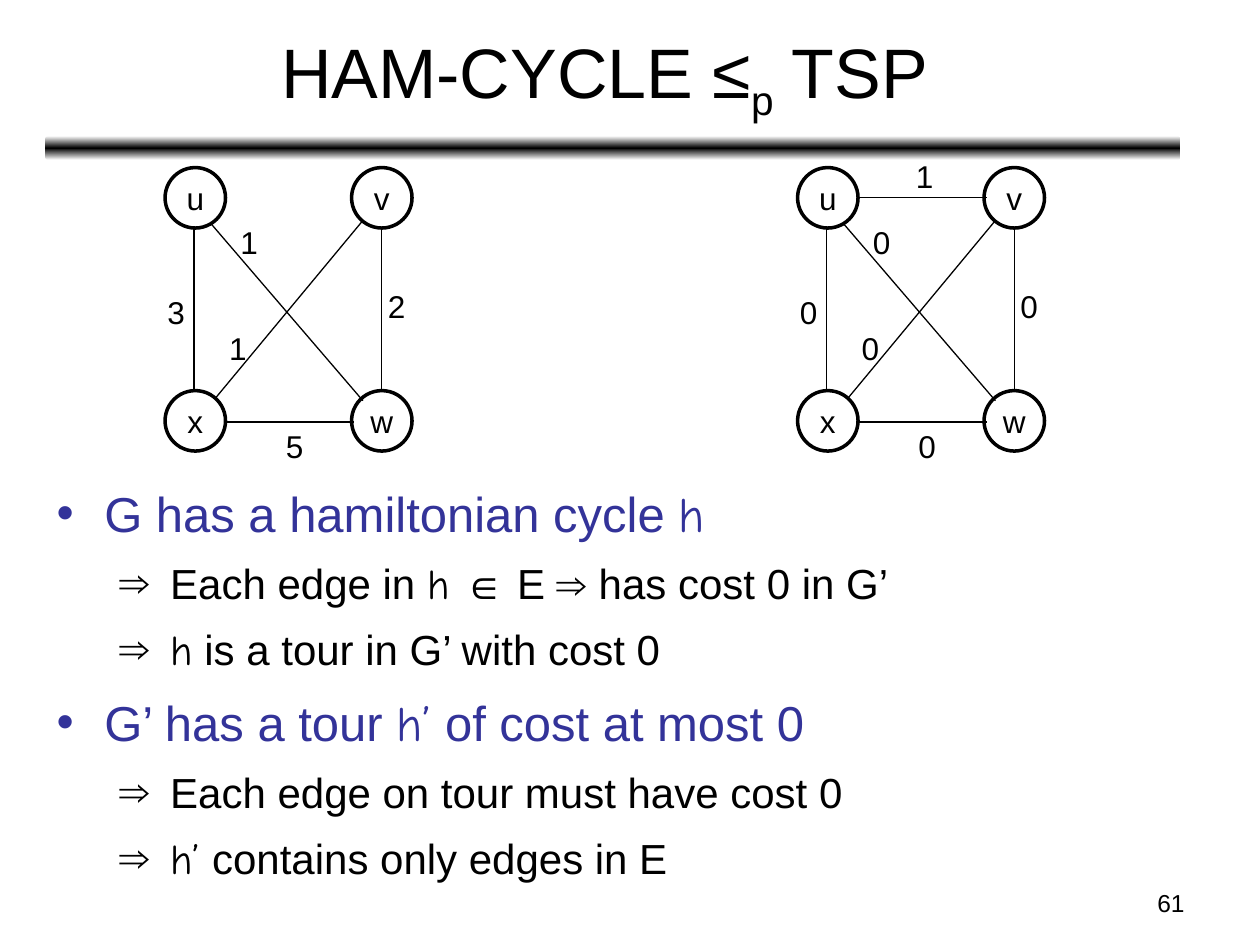
from copy import deepcopy

from lxml import etree
from pptx import Presentation
from pptx.dml.color import RGBColor
from pptx.enum import shapes, text
from pptx.oxml.ns import qn
from pptx.util import Inches, Pt

BLACK = RGBColor(0x00, 0x00, 0x00)
WHITE = RGBColor(0xFF, 0xFF, 0xFF)
BLUE = RGBColor(0x33, 0x33, 0x99)

SANS = "Arial"
HAND = "Comic Neue"

NODE_SIZE = 0.48
NODES = [("u", 0, 0), ("v", 1.48, 0), ("x", 0, 1.77), ("w", 1.48, 1.77)]
TOP_EDGE = (0.48, 0.24, 1.5, 0.24)
EDGES = [
    (0.48, 2.02, 1.5, 2.02),
    (0.23, 0.47, 0.23, 1.77),
    (1.72, 0.47, 1.72, 1.77),
    (0.36, 0.44, 1.57, 1.85),
    (1.57, 0.42, 0.4, 1.83),
]
COST_SPOTS = [(0.86, 2.01), (-0.08, 0.95), (1.67, 0.9), (0.41, 1.23), (0.5, 0.39)]
TOP_COST_SPOT = (0.84, -0.13)

LEVELS = [
    {"size": 28, "color": BLUE, "left": 0.38, "hang": 0.38, "before": 7, "bullet": "•"},
    {"size": 24, "color": BLACK, "left": 0.81, "hang": 0.31, "before": 6, "bullet": "⇒"},
]
POINTS = [
    (0, [("G has a hamiltonian cycle ", SANS), ("h", HAND)]),
    (1, [(" Each edge in ", SANS), ("h ", HAND), ("∈ E ⇒ has cost 0 in G’", SANS)]),
    (1, [(" ", SANS), ("h", HAND), (" is a tour in G’ with cost 0", SANS)]),
    (0, [("G’ has a tour ", SANS), ("h’", HAND), (" of cost at most 0", SANS)]),
    (1, [(" Each edge on tour must have cost 0", SANS)]),
    (1, [(" ", SANS), ("h’", HAND), (" contains only edges in E", SANS)]),
]


def style(font, size, color=BLACK, name=SANS):
    font.size = Pt(size)
    font.name = name
    font.color.rgb = color


def add_rule(slide):
    sp = slide.shapes.add_shape(shapes.MSO_SHAPE.ROUNDED_RECTANGLE,
                                Inches(0.36), Inches(1.08), Inches(9.01), Inches(0.19))
    sp.shadow.inherit = False
    sp.line.fill.background()
    sp.fill.gradient()
    sp.fill.gradient_angle = 90
    stops = sp._element.spPr.find(".//" + qn("a:gsLst"))
    stops.append(deepcopy(stops[-1]))
    for stop, position, color in zip(sp.fill.gradient_stops, (0, 0.5, 1), (WHITE, BLACK, WHITE)):
        stop.position = position
        stop.color.rgb = color


def set_title(slide):
    title = slide.shapes.title
    title.left, title.top = Inches(0.37), Inches(0.11)
    title.width, title.height = Inches(9), Inches(0.99)
    tf = title.text_frame
    tf.vertical_anchor = text.MSO_ANCHOR.MIDDLE
    p = tf.paragraphs[0]
    p.alignment = text.PP_ALIGN.CENTER
    for words, baseline in (("HAM-CYCLE ≤", 0), ("p", -25000), (" TSP ", 0)):
        r = p.add_run()
        r.text = words
        style(r.font, 40)
        if baseline:
            r.font._element.set("baseline", str(baseline))


def add_label(slide, words, left, top, width=0.34, height=0.4, size=18, align=None):
    box = slide.shapes.add_textbox(Inches(left), Inches(top), Inches(width), Inches(height))
    tf = box.text_frame
    tf.text = words
    tf.word_wrap = align is not None
    p = tf.paragraphs[0]
    p.alignment = align
    style(p.runs[0].font, size)


def add_node(slide, name, left, top):
    sp = slide.shapes.add_shape(shapes.MSO_SHAPE.OVAL, Inches(left), Inches(top),
                                Inches(NODE_SIZE), Inches(NODE_SIZE))
    sp.shadow.inherit = False
    sp.fill.solid()
    sp.fill.fore_color.rgb = WHITE
    sp.line.color.rgb = BLACK
    sp.line.width = Pt(2)
    tf = sp.text_frame
    tf.text = name
    tf.word_wrap = False
    tf.vertical_anchor = text.MSO_ANCHOR.MIDDLE
    p = tf.paragraphs[0]
    p.alignment = text.PP_ALIGN.CENTER
    style(p.runs[0].font, 18)


def add_edge(slide, x1, y1, x2, y2):
    line = slide.shapes.add_connector(shapes.MSO_CONNECTOR.STRAIGHT, Inches(x1), Inches(y1),
                                      Inches(x2), Inches(y2))
    line.line.color.rgb = BLACK
    line.line.width = Pt(0.75)
    etree.SubElement(line._element.spPr, qn("a:effectLst"))


def add_graph(slide, left, top, edges, costs):
    for name, x, y in NODES:
        add_node(slide, name, left + x, top + y)
    for x1, y1, x2, y2 in edges:
        add_edge(slide, left + x1, top + y1, left + x2, top + y2)
    for cost, (x, y) in costs:
        add_label(slide, cost, left + x, top + y)


def set_bullet(p, level):
    pPr = p._p.get_or_add_pPr()
    pPr.set("marL", str(Inches(level["left"])))
    pPr.set("indent", str(-Inches(level["hang"])))
    color = etree.SubElement(pPr, qn("a:buClr"))
    etree.SubElement(color, qn("a:srgbClr"), val=str(level["color"]))
    etree.SubElement(pPr, qn("a:buFont"), typeface=SANS)
    etree.SubElement(pPr, qn("a:buChar"), char=level["bullet"])


def add_points(slide):
    box = slide.shapes.add_textbox(Inches(0.35), Inches(3.74), Inches(9.41), Inches(3.51))
    tf = box.text_frame
    tf.word_wrap = True
    for i, (depth, runs) in enumerate(POINTS):
        level = LEVELS[depth]
        p = tf.add_paragraph() if i else tf.paragraphs[0]
        p.level = depth
        set_bullet(p, level)
        p.line_spacing = 1.1
        if i:
            p.space_before = Pt(level["before"])
        for words, name in runs:
            r = p.add_run()
            r.text = words
            style(r.font, level["size"], level["color"], name)


def main():
    prs = Presentation()
    prs.slide_width, prs.slide_height = Inches(10), Inches(7.5)
    slide = prs.slides.add_slide(prs.slide_layouts[5])
    add_rule(slide)
    set_title(slide)
    add_label(slide, "61", 7.17, 7, 2.33, 0.35, 14, text.PP_ALIGN.RIGHT)
    add_points(slide)
    add_graph(slide, 1.31, 1.33, EDGES, zip("53211", COST_SPOTS))
    add_graph(slide, 6.33, 1.33, [TOP_EDGE] + EDGES,
              zip("100000", [TOP_COST_SPOT] + COST_SPOTS))
    prs.save("out.pptx")


if __name__ == "__main__":
    main()
